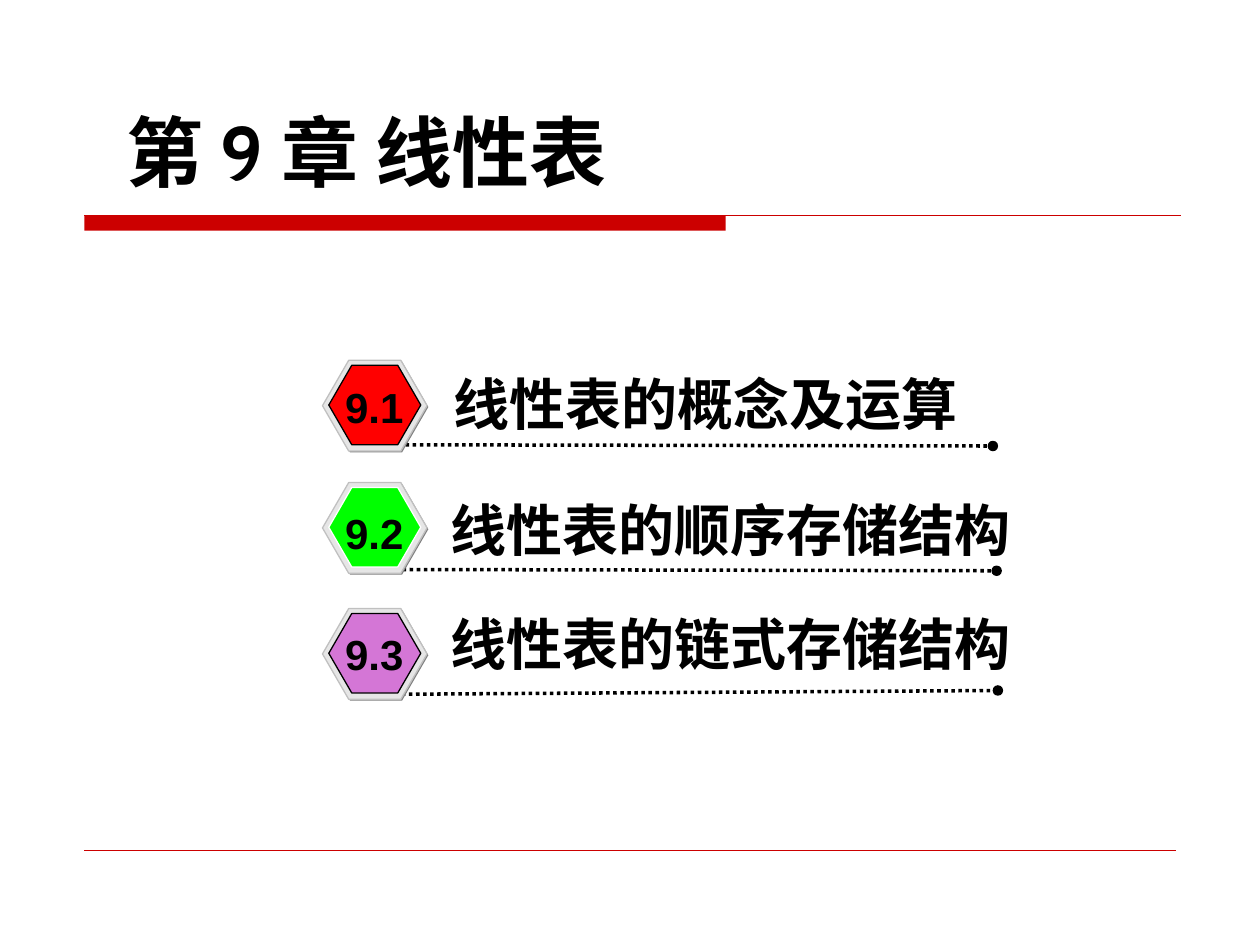
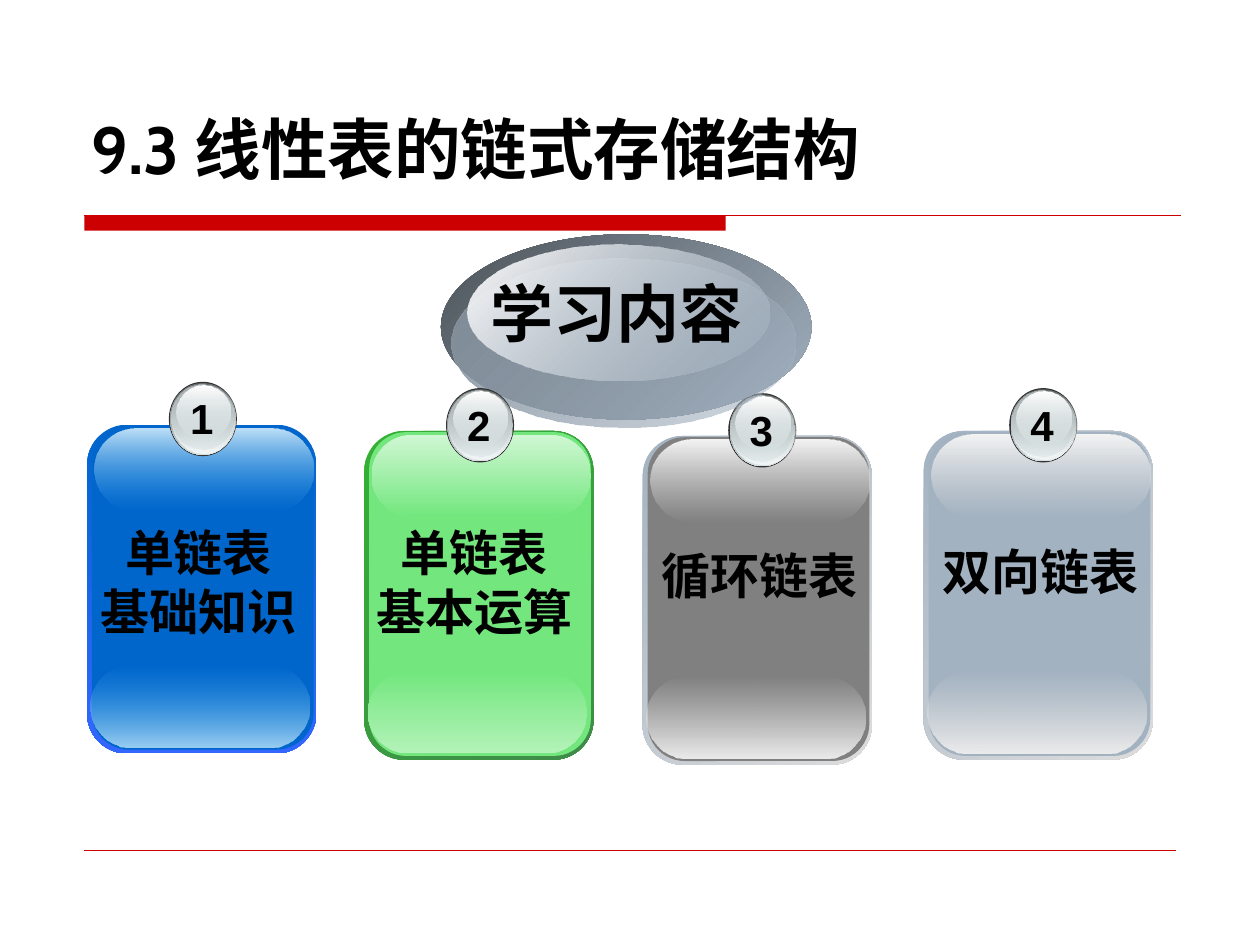
from dataclasses import dataclass
from typing import NamedTuple

from lxml.etree import SubElement
from pptx import Presentation
from pptx.dml.color import RGBColor
from pptx.enum.dml import MSO_LINE_DASH_STYLE as DASH
from pptx.enum.shapes import MSO_CONNECTOR as CONNECTOR, MSO_SHAPE as SHAPE
from pptx.enum.text import MSO_ANCHOR as ANCHOR, MSO_AUTO_SIZE as AUTO_SIZE
from pptx.enum.text import PP_ALIGN as ALIGN
from pptx.oxml.ns import qn
from pptx.util import Inches, Pt


@dataclass(frozen=True)
class Theme:
    font: str = "Arial"
    digit_font: str = "Cabin"
    text: str = "000000"
    accent: str = "CC0000"
    white: str = "FFFFFF"
    hexagon_shadow: str = "808080"
    hexagon_rim: str = "E6E6E6"
    hexagon_edge: str = "C0C0C0"
    chapter_size: int = 44
    title_size: int = 38
    topic_size: int = 36
    section_size: int = 32
    caption_size: int = 28
    number_size: int = 24


class Gradient(NamedTuple):
    start: str
    end: str
    angle: int = 90  # clockwise
    start_alpha: int = 100
    end_alpha: int = 100


class CardColors(NamedTuple):
    frame: Gradient
    face: str
    top_gloss: Gradient
    bottom_gloss: Gradient


class Card(NamedTuple):
    left: float
    top: float
    badge_left: float
    lines: tuple
    caption_at: tuple
    colors: CardColors


THEME = Theme()

SILVER_FRAME = Gradient("A3B2C1", "DDDDDD", 45)
SILVER_TOP = Gradient("F4F4F4", "DDDDDD", end_alpha=0)
SILVER_BOTTOM = Gradient("DDDDDD", "ECECEC", start_alpha=0)
BLUE = CardColors(Gradient("0066CC", "3366FF"), "0066CC",
                  Gradient("BEE0F7", "3CA1E6", end_alpha=0),
                  Gradient("3CA1E6", "9BCFF2", start_alpha=0))
GREEN = CardColors(Gradient("34B034", "3F8B4A", 45), "73E77E",
                   Gradient("D0F7D4", "73E77E"), Gradient("73E77E", "B3F2B9"))
GRAY = CardColors(SILVER_FRAME, "808080", SILVER_TOP, SILVER_BOTTOM)
STEEL = CardColors(SILVER_FRAME, "A3B2C1", SILVER_TOP, SILVER_BOTTOM)

CARDS = {
    1: Card(0.69, 3.37, 1.34, ("单链表", "基础知识"), (0.63, 4.1, 1.89, 1.04), BLUE),
    2: Card(2.89, 3.42, 3.54, ("单链表", "基本运算"), (2.83, 4.1, 1.87, 1.04), GREEN),
    3: Card(5.1, 3.46, 5.78, ("循环链表",), (5.11, 4.28, 1.84, 0.57), GRAY),
    4: Card(7.33, 3.42, 8.01, ("双向链表",), (7.34, 4.25, 1.84, 0.57), STEEL),
}

# Ellipses of a number badge: offset and size, then fill
BADGE_LAYERS = (
    ((0, 0, 0.54, 0.59), "333333"),
    ((0.01, 0.01, 0.52, 0.57), Gradient("636869", "D6E1E2")),
    ((0.02, 0.01, 0.51, 0.56), Gradient("D6E1E2", "F1F5F5", start_alpha=0)),
    ((0.02, 0.02, 0.49, 0.52), Gradient("AAB2B3", "D6E1E2", end_alpha=48)),
    ((0.06, 0.03, 0.43, 0.42), Gradient("FFFFFF", "D6E1E2", end_alpha=38)),
)
TOPIC_LAYERS = (
    ((3.5, 1.86, 2.94, 1.47), Gradient("4B5259", "A3B2C1", 45)),
    ((3.58, 2.05, 2.73, 1.34), Gradient("818D99", "A3B2C1", 45, end_alpha=48)),
    ((3.71, 1.94, 2.4, 1.08), Gradient("FFFFFF", "A3B2C1", 45, end_alpha=38)),
)

# Number, heading, hexagon top, number top, heading left and top, rule ends, fill, edge
SECTIONS = (
    ("9.1", "线性表的概念及运算", 2.86, 2.98, (3.5, 2.88),
     (3.22, 3.53, 7.88, 3.54), "FF0000", THEME.text),
    ("9.2", "线性表的顺序存储结构", 3.83, 3.98, (3.48, 3.88),
     (3.14, 4.52, 7.91, 4.53), "00FF00", THEME.white),
    ("9.3", "线性表的链式存储结构", 4.83, 4.94, (3.48, 4.79),
     (3.19, 5.51, 7.92, 5.48), "D476D6", THEME.text),
)


def rgb(color):
    return RGBColor.from_string(color)


def apply(target, values):
    for name, value in values.items():
        setattr(target, name, value)


def fill_shape(shape, paint):
    """Fill with one colour or with a two-stop gradient."""
    if isinstance(paint, str):
        shape.fill.solid()
        shape.fill.fore_color.rgb = rgb(paint)
        return
    shape.fill.gradient()
    shape.fill.gradient_angle = 360 - paint.angle
    for stop, color in zip(shape.fill.gradient_stops, (paint.start, paint.end)):
        stop.color.rgb = rgb(color)
    alphas = (paint.start_alpha, paint.end_alpha)
    for color, alpha in zip(shape.element.iter(qn("a:srgbClr")), alphas):
        if alpha < 100:
            SubElement(color, qn("a:alpha"), val=str(alpha * 1000))


def add_figure(shapes, kind, at, paint, edge=None, adjust=None):
    shape = shapes.add_shape(kind, *map(Inches, at))
    shape.shadow.inherit = False
    fill_shape(shape, paint)
    if edge:
        shape.line.color.rgb = rgb(edge)
        shape.line.width = Pt(0.75)
    else:
        shape.line.fill.background()
    if adjust is not None:
        shape.adjustments[0] = adjust
    return shape


def add_line(page, ends, color, width, dotted=False):
    line = page.shapes.add_connector(CONNECTOR.STRAIGHT, *map(Inches, ends))
    line.line.color.rgb = rgb(color)
    line.line.width = Pt(width)
    if dotted:
        line.line.dash_style = DASH.ROUND_DOT
        SubElement(line.line._get_or_add_ln(), qn("a:tailEnd"), type="oval")
    SubElement(line.element.spPr, qn("a:effectLst"))


def add_span(para, text, size, font=THEME.font):
    span = para.add_run()
    span.text = text
    apply(span.font, {"name": font, "size": Pt(size), "bold": True})
    span.font.color.rgb = rgb(THEME.text)


def add_text(page, at, lines, size, align=ALIGN.CENTER, wrap=True):
    box = page.shapes.add_textbox(*map(Inches, at))
    frame = box.text_frame
    apply(frame, {"word_wrap": wrap, "auto_size": AUTO_SIZE.SHAPE_TO_FIT_TEXT})
    for index, line in enumerate(lines):
        para = frame.add_paragraph() if index else frame.paragraphs[0]
        para.alignment = align
        add_span(para, line, size)


def add_page(deck, title_at, spans, size, anchor):
    """Add a page with its title, the red band and the footer rule."""
    page = deck.slides.add_slide(deck.slide_layouts[5])
    add_figure(page.shapes, SHAPE.RECTANGLE, (0.67, 1.71, 5.09, 0.12), THEME.accent)
    add_line(page, (0.67, 1.71, 9.37, 1.71), THEME.accent, 0.75)
    add_line(page, (0.67, 6.75, 9.33, 6.75), THEME.accent, 0.25)
    title = page.shapes.title
    apply(title, dict(zip(("left", "top", "width", "height"), map(Inches, title_at))))
    apply(title.text_frame, {"vertical_anchor": anchor, "word_wrap": True,
                             "auto_size": AUTO_SIZE.NONE})
    para = title.text_frame.paragraphs[0]
    para.alignment = ALIGN.LEFT
    for text, font in spans:
        add_span(para, text, size, font)
    return page


def add_section(page, number, heading, top, number_top, heading_at, rule, paint, edge):
    add_line(page, rule, THEME.text, 2, dotted=True)
    hexagon = page.shapes.add_group_shape()
    layers = (
        ((2.57, top + 0.01, 0.83, 0.72), THEME.hexagon_shadow, None),
        ((2.56, top, 0.83, 0.72), THEME.hexagon_rim, THEME.hexagon_edge),
        ((2.61, top + 0.04, 0.73, 0.63), paint, edge),
    )
    for at, color, outline in layers:
        add_figure(hexagon.shapes, SHAPE.HEXAGON, at, color, outline, 0.289)
    add_text(page, (*heading_at, 5.7, 0.64), [heading], THEME.section_size, ALIGN.LEFT)
    add_text(page, (2.64, number_top, 0.66, 0.5), [number], THEME.number_size, wrap=False)


def add_badge(page, number, left, top):
    for (dx, dy, width, height), paint in BADGE_LAYERS:
        add_figure(page.shapes, SHAPE.OVAL, (left + dx, top + dy, width, height), paint)
    add_text(page, (left + 0.07, top + 0.04, 0.38, 0.5), [str(number)],
             THEME.number_size, wrap=False)


def add_card(page, number):
    card = CARDS[number]
    colors = card.colors
    layers = (
        ((0, 0, 1.82, 2.61), colors.frame, 0.175),
        ((0.04, 0.01, 1.76, 2.57), colors.face, 0.167),
        ((0.03, 1.91, 1.74, 0.65), colors.bottom_gloss, 0.5),
        ((0.06, 0.03, 1.74, 0.65), colors.top_gloss, 0.5),
    )
    for (dx, dy, width, height), paint, corner in layers:
        at = (card.left + dx, card.top + dy, width, height)
        add_figure(page.shapes, SHAPE.ROUNDED_RECTANGLE, at, paint, adjust=corner)
    add_badge(page, number, card.badge_left, card.top - 0.34)
    add_text(page, card.caption_at, card.lines, THEME.caption_size)


def add_topic(page):
    for at, paint in TOPIC_LAYERS:
        add_figure(page.shapes, SHAPE.OVAL, at, paint)
    add_text(page, (3.77, 2.13, 2.25, 0.7), ["学习内容"], THEME.topic_size)


def main():
    deck = Presentation()
    deck.slide_width, deck.slide_height = Inches(10), Inches(7.5)

    # Chapter contents
    spans = (("第 ", THEME.font), ("9 ", THEME.digit_font), ("章 线性表", THEME.font))
    page = add_page(deck, (0.9, 0.61, 8.36, 1.17), spans, THEME.chapter_size, ANCHOR.MIDDLE)
    for section in SECTIONS:
        add_section(page, *section)

    # Topics of section 9.3; the oval overlaps card 3 and lies under the others
    spans = (("9.3 ", THEME.digit_font), ("线性表的链式存储结构", THEME.font))
    page = add_page(deck, (0.63, 0.21, 8.75, 1.33), spans, THEME.title_size, ANCHOR.BOTTOM)
    add_card(page, 3)
    add_topic(page)
    for number in (1, 2, 4):
        add_card(page, number)

    deck.save("out.pptx")


if __name__ == "__main__":
    main()
